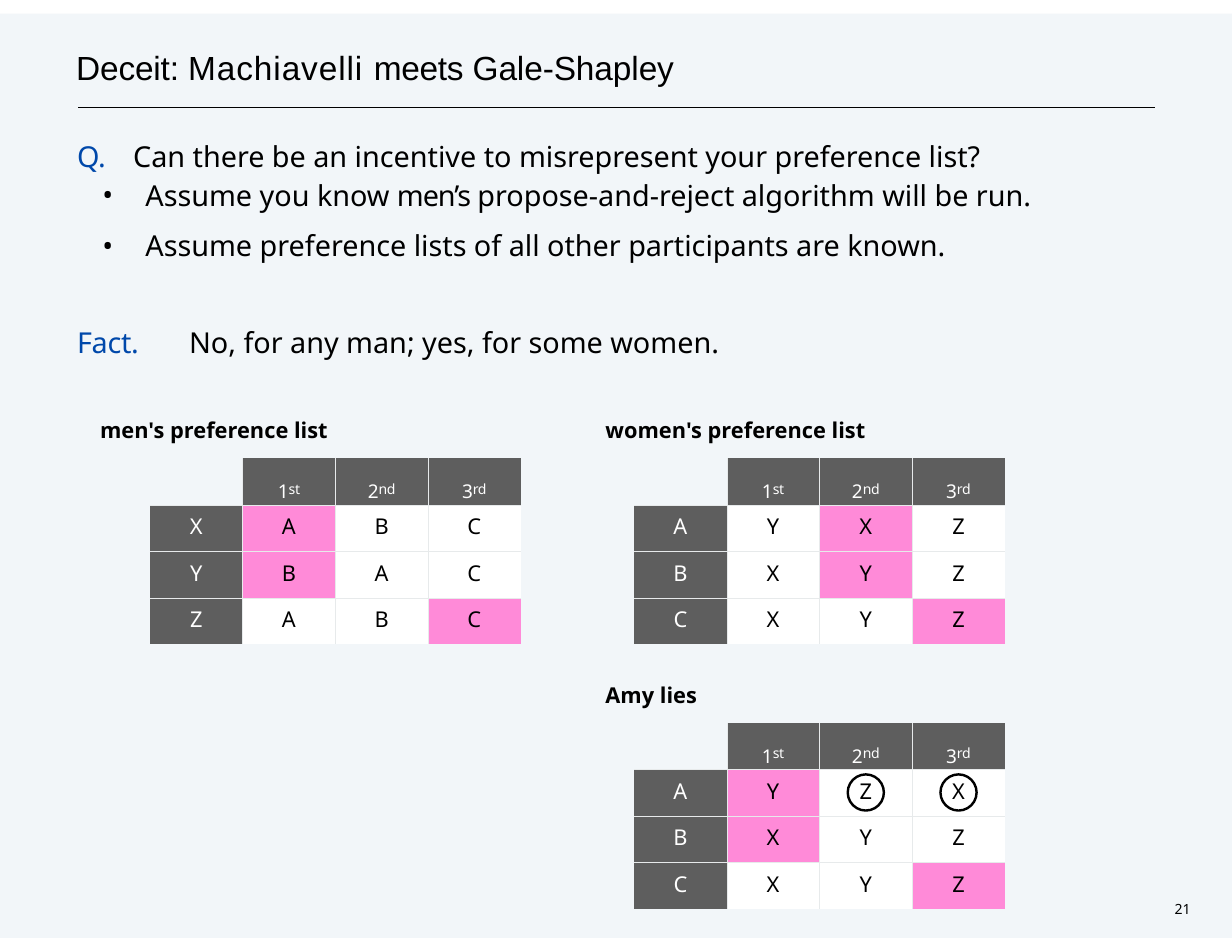
from lxml import etree
from pptx import Presentation
from pptx.dml.color import RGBColor
from pptx.enum import shapes, text
from pptx.oxml import ns
from pptx.util import Cm, Pt

BLACK = RGBColor(0x00, 0x00, 0x00)
WHITE = RGBColor(0xFF, 0xFF, 0xFF)
BLUE = RGBColor(0x00, 0x48, 0xAA)
PANEL = RGBColor(0x00, 0x54, 0x93)
GREY = RGBColor(0x5E, 0x5E, 0x5E)
PINK = RGBColor(0xFF, 0x8A, 0xD8)
RULE = RGBColor(0xE7, 0xEA, 0xEB)

ORDINALS = [("1", "st"), ("2", "nd"), ("3", "rd")]
SIZE = 4


def add_element(parent, tag, **attributes):
    """Append a drawing element with its attributes and return it."""
    element = etree.SubElement(parent, ns.qn(tag))
    for name, value in attributes.items():
        element.set(name, str(value))
    return element


def write_paragraph(paragraph, runs, size=18.5, font="Noto Sans", color=BLACK,
                    bold=False, align=None, before=0, line=None,
                    margin=0, hanging=0, tab=None, bullet=None):
    """Fill a paragraph from text or a list of (text, run format) pairs."""
    paragraph.alignment = align
    paragraph.space_before = Pt(before)
    if line:
        paragraph.line_spacing = Pt(line)
    properties = paragraph._p.get_or_add_pPr()
    properties.set("marL", str(Cm(margin)))
    properties.set("indent", str(-Cm(hanging)))
    if bullet:
        add_element(properties, "a:buFont", typeface=font)
        add_element(properties, "a:buChar", char=bullet)
    if tab:
        tabs = add_element(properties, "a:tabLst")
        add_element(tabs, "a:tab", pos=Cm(tab), algn="l")
    for words, style in [(runs, {})] if isinstance(runs, str) else runs:
        run = paragraph.add_run()
        run.text = words
        run.font.name = font
        run.font.bold = bold
        run.font.size = Pt(style.get("size", size))
        run.font.color.rgb = style.get("color", color)
        run_properties = run._r.get_or_add_rPr()
        if "spacing" in style:
            run_properties.set("spc", str(round(style["spacing"] * 100)))
        if "baseline" in style:
            run_properties.set("baseline", str(style["baseline"] * 1000))


def add_text_box(slide, box, paragraphs):
    """Place a margin-free text box holding (runs, format) paragraphs."""
    frame = slide.shapes.add_textbox(*map(Cm, box)).text_frame
    frame.word_wrap = True
    frame.margin_left = frame.margin_right = frame.margin_bottom = 0
    frame.margin_top = Cm(0.03)
    for index, (runs, style) in enumerate(paragraphs):
        paragraph = frame.add_paragraph() if index else frame.paragraphs[0]
        write_paragraph(paragraph, runs, **style)


def add_background(slide, box):
    """Lay a pale translucent panel over the box."""
    panel = slide.shapes.add_shape(shapes.MSO_SHAPE.RECTANGLE, *map(Cm, box))
    panel.shadow.inherit = False
    panel.line.fill.background()
    panel.fill.solid()
    panel.fill.fore_color.rgb = PANEL
    color = panel._element.spPr.find(".//" + ns.qn("a:srgbClr"))
    add_element(color, "a:alpha", val=5000)


def add_title(slide, box):
    """Write the heading and the rule under it."""
    left, top, width, height = box
    runs = [("Deceit:\t", {"spacing": -0.1}), ("Machiavelli ", {"spacing": 0.6}),
            ("meets ", {"spacing": -0.2}), ("Gale-Shapley", {"spacing": -0.05})]
    add_text_box(slide, box, [(runs, dict(size=21.5, font="Arial", before=1.1,
                                         margin=0.03, tab=2.92))])
    y = Cm(top + height + 0.41)
    rule = slide.shapes.add_connector(shapes.MSO_CONNECTOR.STRAIGHT,
                                      Cm(left + 0.08), y, Cm(left + width), y)
    rule.line.color.rgb = BLACK
    rule.line.width = Pt(0.77)
    add_element(rule._element.spPr, "a:effectLst")


def add_question(slide, box):
    """Write the question, its two assumptions and the fact."""
    question = [("Q.\t", {"color": BLUE, "spacing": -0.2}),
                ("Can there be an incentive to misrepresent your preference list?", {})]
    known = [("Assume you know ", {}), ("men’s ", {"spacing": -0.7}),
             ("propose-and-reject algorithm will be run.", {})]
    lists = "Assume preference lists of all other participants are known."
    fact = [("Fact.\t", {"color": BLUE, "spacing": -0.2}),
            ("No, for any man; yes, for some women.", {})]
    item = dict(margin=1.7, hanging=0.98, bullet="•")
    add_text_box(slide, box, [
        (question, dict(margin=0.15, tab=1.27, line=20.3, before=1.1)),
        (known, dict(line=25, **item)),
        (lists, dict(line=32.5, **item)),
        (fact, dict(margin=0.15, tab=2.06, line=25, before=37)),
    ])


def set_borders(cell, row, column):
    """Draw thin rules on the inner sides of a cell only."""
    properties = cell._tc.get_or_add_tcPr()
    inner = {"a:lnL": column > 0, "a:lnR": column < SIZE - 1,
             "a:lnT": row > 0, "a:lnB": row < SIZE - 1}
    for position, (tag, visible) in enumerate(inner.items()):
        line = add_element(properties, tag, w=Pt(0.25))
        properties.insert(position, line)
        if visible:
            fill = add_element(line, "a:solidFill")
            add_element(fill, "a:srgbClr", val=RULE)
        else:
            add_element(line, "a:noFill")


def add_preferences(slide, box, caption, caption_offset, rows, matches, circled=()):
    """Build a captioned ranking table with pink matches and circled cells."""
    left, top, width, height = box
    add_text_box(slide, (left - caption_offset, top - 0.96, 6.6, 0.66),
                 [(caption, dict(size=14, bold=True, before=0.9, margin=0.03))])
    table = slide.shapes.add_table(SIZE, SIZE, *map(Cm, box)).table
    table.first_row = table.horz_banding = False
    for line in table.columns:
        line.width = Cm(width / SIZE)
    for line in table.rows:
        line.height = Cm(height / SIZE)
    for row in range(SIZE):
        for column in range(SIZE):
            cell = table.cell(row, column)
            cell.margin_left = cell.margin_right = cell.margin_bottom = 0
            cell.margin_top = Cm(0.15 if row else 0.03)
            set_borders(cell, row, column)
            if row == column == 0:
                cell.fill.background()
                continue
            heading = row == 0 or column == 0
            cell.fill.solid()
            cell.fill.fore_color.rgb = (
                GREY if heading else PINK if (row, column) in matches else WHITE)
            if row:
                runs = rows[row - 1][column]
            else:
                number, suffix = ORDINALS[column - 1]
                runs = [(number, dict(size=21, baseline=-14, spacing=-0.4)),
                        (suffix, dict(size=9, spacing=-0.2))]
            write_paragraph(cell.text_frame.paragraphs[0], runs, size=14,
                            color=WHITE if heading else BLACK,
                            align=text.PP_ALIGN.CENTER, before=4.7 if row else 0.9)
    diameter = 0.82
    for row, column in circled:
        x = left + (column + 0.5) * width / SIZE - diameter / 2
        y = top + (row + 0.5) * height / SIZE - diameter / 2
        circle = slide.shapes.add_shape(shapes.MSO_SHAPE.OVAL, Cm(x), Cm(y),
                                        Cm(diameter), Cm(diameter))
        circle.shadow.inherit = False
        circle.fill.background()
        circle.line.color.rgb = BLACK
        circle.line.width = Pt(1.55)


def main():
    """Assemble the slide and save it."""
    presentation = Presentation()
    presentation.slide_width, presentation.slide_height = Cm(27.94), Cm(21.59)
    slide = presentation.slides.add_slide(presentation.slide_layouts[6])
    add_background(slide, (0, 0.31, 27.94, 20.96))
    add_title(slide, (1.7, 1.04, 24.49, 0.99))
    add_question(slide, (1.6, 3.18, 24, 5))
    width, height = 8.41, 4.22
    add_preferences(slide, (3.4, 10.39, width, height), "men's preference list", 1.16,
                    ["XABC", "YBAC", "ZABC"], {(1, 1), (2, 1), (3, 3)})
    add_preferences(slide, (14.38, 10.39, width, height), "women's preference list", 0.68,
                    ["AYXZ", "BXYZ", "CXYZ"], {(1, 2), (2, 2), (3, 3)})
    add_preferences(slide, (14.38, 16.39, width, height), "Amy lies", 0.68,
                    ["AYZX", "BXYZ", "CXYZ"], {(1, 1), (2, 1), (3, 3)},
                    circled=[(1, 2), (1, 3)])
    add_text_box(slide, (26.54, 20.4, 0.8, 0.46),
                 [("21", dict(size=9, before=0.7, margin=0.1))])
    presentation.save("out.pptx")


if __name__ == "__main__":
    main()
